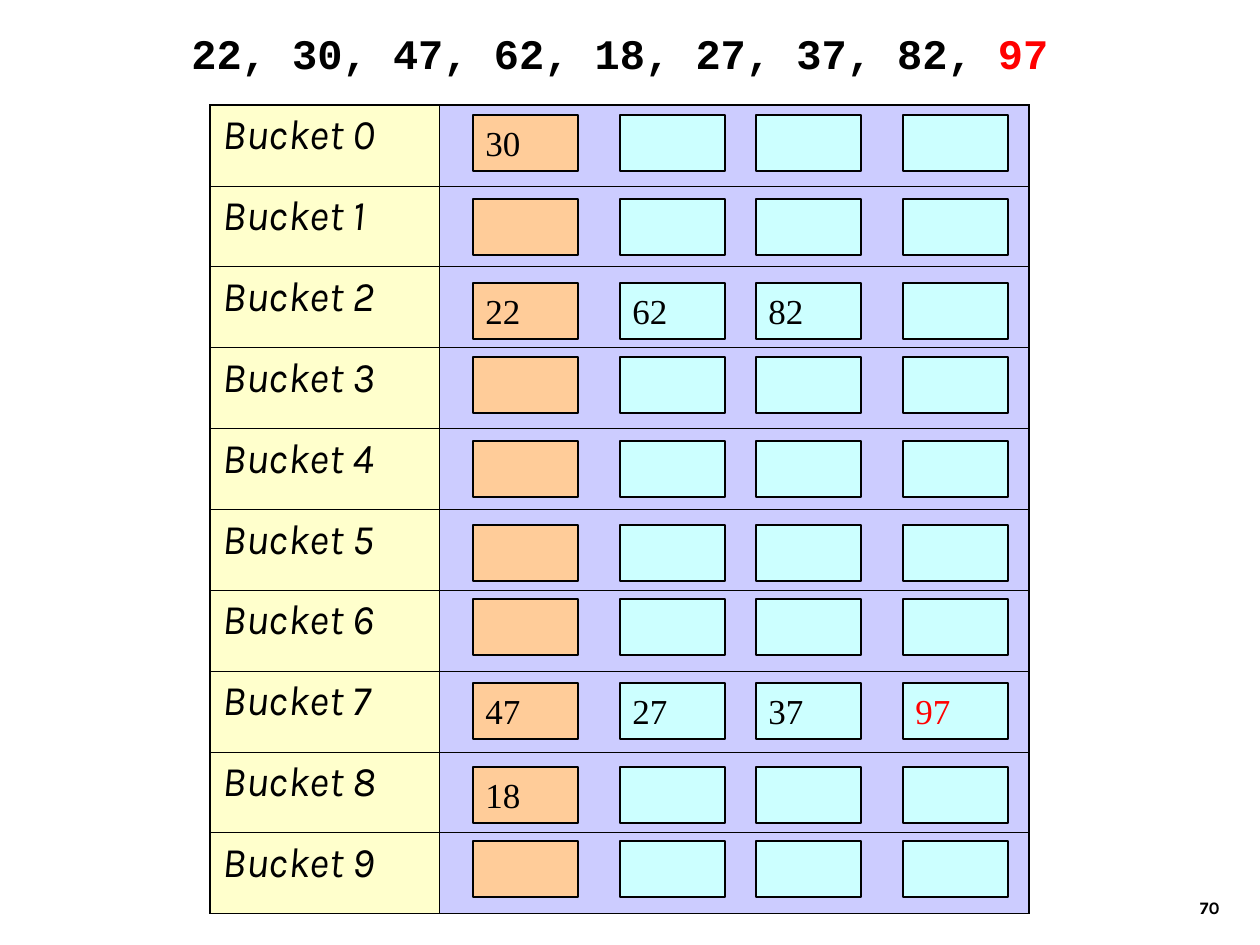
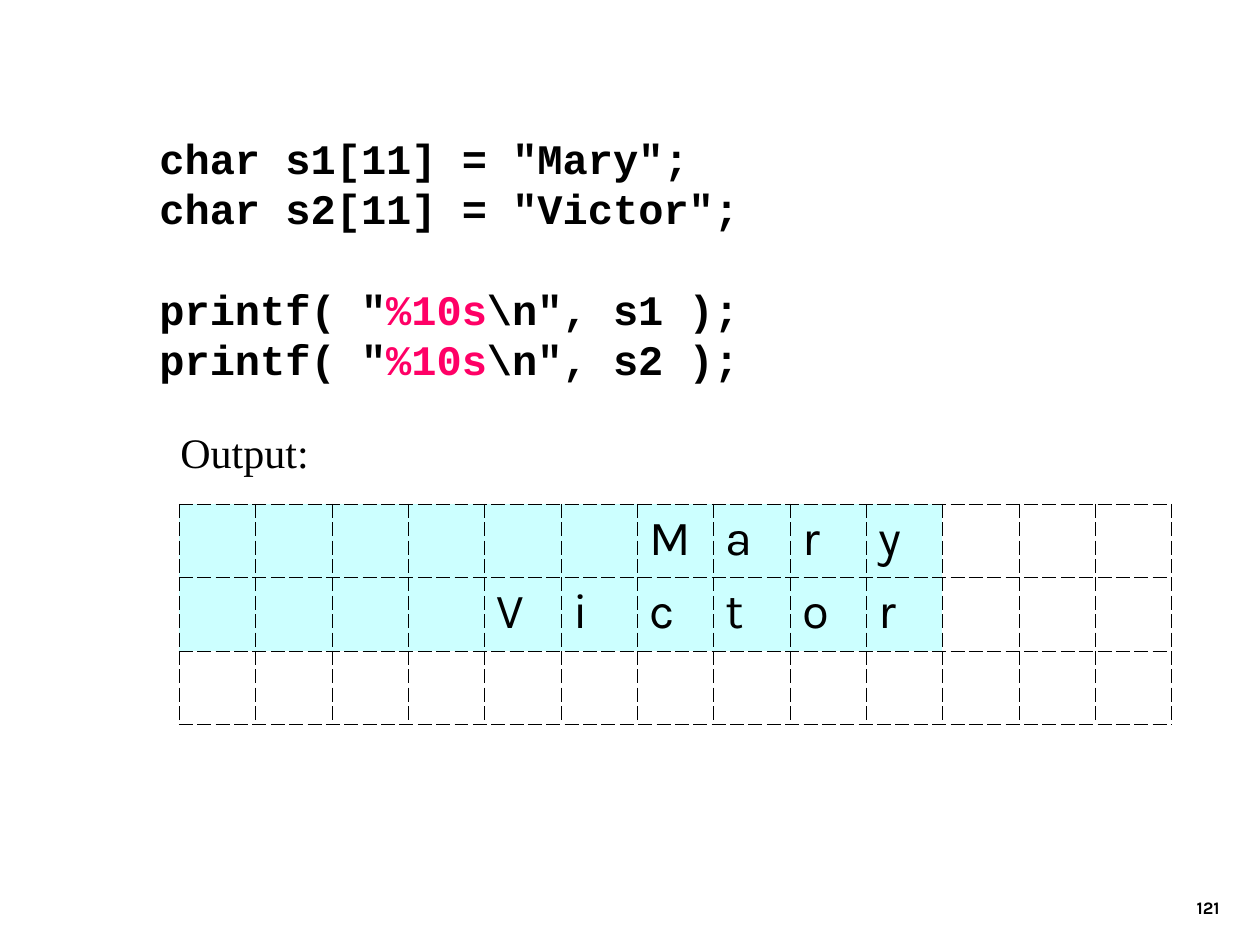
import pptx
import pptx.dml.color
import pptx.enum.shapes
import pptx.enum.text
import pptx.oxml
import pptx.oxml.ns
import pptx.util

EMU_PER_PX = 914400 / 126
COLORS = {"ink": "000000", "new": "FF0000", "format": "FF0066", "label": "FFFFCC",
          "row": "CCCCFF", "first": "FFCC99", "slot": "CCFFFF", "paper": "FFFFFF"}
FORMATS = {
    "code": {"name": "Courier New", "size": pptx.util.Pt(24), "bold": True},
    "number": {"name": "Times New Roman", "size": pptx.util.Pt(20)},
    "caption": {"name": "Times New Roman", "size": pptx.util.Pt(24)},
    "bucket": {"name": "Karla", "size": pptx.util.Pt(24), "italic": True},
    "letter": {"name": "Karla", "size": pptx.util.Pt(28)},
    "page_number": {"name": "Karla", "size": pptx.util.Pt(10), "bold": True},
}
THICK, THIN, HAIR = 1.08, 0.45, 0.11
BUCKET_COUNT = 10
SLOT_LEFTS = (473, 620, 756, 903)
BUCKETS = {0: ("30",), 2: ("22", "62", "82"), 7: ("47", "27", "37", "97"), 8: ("18",)}
NEWEST = "97"
OUTPUT_COLUMNS, FIELD_WIDTH = 13, 10
OUTPUT_LINES = ("Mary", "Victor", "")


def px(length):
    """Turn pixels into EMU."""
    return pptx.util.Emu(round(length * EMU_PER_PX))


def rgb(color):
    """Return the named colour."""
    return pptx.dml.color.RGBColor.from_string(COLORS[color])


def add_span(para, text, style, color="ink"):
    """Append a formatted run to a paragraph."""
    span = para.add_run()
    span.text = text
    for name, value in FORMATS[style].items():
        setattr(span.font, name, value)
    span.font.color.rgb = rgb(color)


def add_text(page, place, lines, style, wrap=True):
    """Add a text box; each line is a list of (text, colour) spans."""
    box = page.shapes.add_textbox(*map(px, place))
    frame = box.text_frame
    frame.word_wrap = wrap
    for index, line in enumerate(lines):
        para = frame.add_paragraph() if index else frame.paragraphs[0]
        for text, color in line:
            add_span(para, text, style, color)
    return frame


def add_page_number(page, number):
    """Add the right-aligned slide number."""
    frame = add_text(page, (970, 861, 262, 63), [[(number, "ink")]], "page_number")
    frame.vertical_anchor = pptx.enum.text.MSO_ANCHOR.BOTTOM
    frame.paragraphs[0].alignment = pptx.enum.text.PP_ALIGN.RIGHT


def add_slot(page, left, top, color, text):
    """Add one rectangle of a bucket, with its number if it holds one."""
    slot = page.shapes.add_shape(pptx.enum.shapes.MSO_SHAPE.RECTANGLE,
                                 *map(px, (left, top, 105, 56)))
    slot.shadow.inherit = False
    slot.fill.solid()
    slot.fill.fore_color.rgb = rgb(color)
    slot.line.color.rgb = rgb("ink")
    slot.line.width = pptx.util.Pt(0.75)
    if text:
        slot.text_frame.vertical_anchor = pptx.enum.text.MSO_ANCHOR.TOP
        para = slot.text_frame.paragraphs[0]
        para.alignment = pptx.enum.text.PP_ALIGN.LEFT
        add_span(para, text, "number", "new" if text == NEWEST else "ink")


def add_grid(page, place, widths, row_count):
    """Add a plain table with the given column widths and equal rows."""
    table = page.shapes.add_table(row_count, len(widths), *map(px, place)).table
    table.first_row = table.horz_banding = False
    for column, width in zip(table.columns, widths):
        column.width = px(width)
    for row in table.rows:
        row.height = px(place[3] / row_count)
    return table


def style_cell(cell, fill, borders, dash="solid"):
    """Set a cell's borders (left, right, top, bottom, in points) and fill."""
    properties = cell._tc.get_or_add_tcPr()
    for side, width in zip("LRTB", borders):
        properties.append(pptx.oxml.parse_xml(
            f'<a:ln{side} {pptx.oxml.ns.nsdecls("a")} w="{pptx.util.Pt(width)}">'
            f'<a:solidFill><a:srgbClr val="{COLORS["ink"]}"/></a:solidFill>'
            f'<a:prstDash val="{dash}"/></a:ln{side}>'))
    cell.fill.solid()
    cell.fill.fore_color.rgb = rgb(fill)


def build_buckets(page):
    """Build the radix sort slide."""
    add_page_number(page, "70")
    table = add_grid(page, (210, 105, 819, 809), (229, 590), BUCKET_COUNT)
    for row in range(BUCKET_COUNT):
        top = THIN if row else THICK
        bottom = THICK if row == BUCKET_COUNT - 1 else THIN
        label, area = table.cell(row, 0), table.cell(row, 1)
        style_cell(label, "label", (THICK, THIN, top, bottom))
        style_cell(area, "row", (THIN, THICK, top, bottom))
        add_span(label.text_frame.paragraphs[0], f"Bucket {row}", "bucket")
        numbers = BUCKETS.get(row, ())
        for index, left in enumerate(SLOT_LEFTS):
            text = numbers[index] if index < len(numbers) else ""
            add_slot(page, left, 115 + 84 * row - 10 * (row // 3),
                     "slot" if index else "first", text)
    add_text(page, (179, 21, 882, 63),
             [[("22, 30, 47, 62, 18, 27, 37, 82, ", "ink"), (NEWEST, "new")]],
             "code", wrap=False)


def build_output(page):
    """Build the printf field width slide."""
    add_page_number(page, "121")
    declarations = [[(f'char s{index}[11] = "{word}";', "ink")]
                    for index, word in enumerate(OUTPUT_LINES[:2], 1)]
    calls = [[('printf( "', "ink"), ("%10s", "format"), (f'\\n", s{index} );', "ink")]
             for index in (1, 2)]
    code = add_text(page, (147, 126, 872, 265), declarations + calls, "code")
    code.paragraphs[len(declarations)].space_before = pptx.util.Pt(28.8)
    add_text(page, (168, 420, 441, 63), [[("Output:", "ink")]], "caption")
    width = 993
    table = add_grid(page, (179, 504, width, 220),
                     [width / OUTPUT_COLUMNS] * OUTPUT_COLUMNS, len(OUTPUT_LINES))
    for row, word in enumerate(OUTPUT_LINES):
        for column, letter in enumerate(word.rjust(FIELD_WIDTH).ljust(OUTPUT_COLUMNS)):
            cell = table.cell(row, column)
            in_field = word and column < FIELD_WIDTH
            style_cell(cell, "slot" if in_field else "paper", [HAIR] * 4, "dash")
            if letter.strip():
                add_span(cell.text_frame.paragraphs[0], letter, "letter")


def main():
    """Build and save the deck."""
    deck = pptx.Presentation()
    deck.slide_width, deck.slide_height = px(1260), px(945)
    for build in (build_buckets, build_output):
        build(deck.slides.add_slide(deck.slide_layouts[6]))
    deck.save("out.pptx")


if __name__ == "__main__":
    main()
